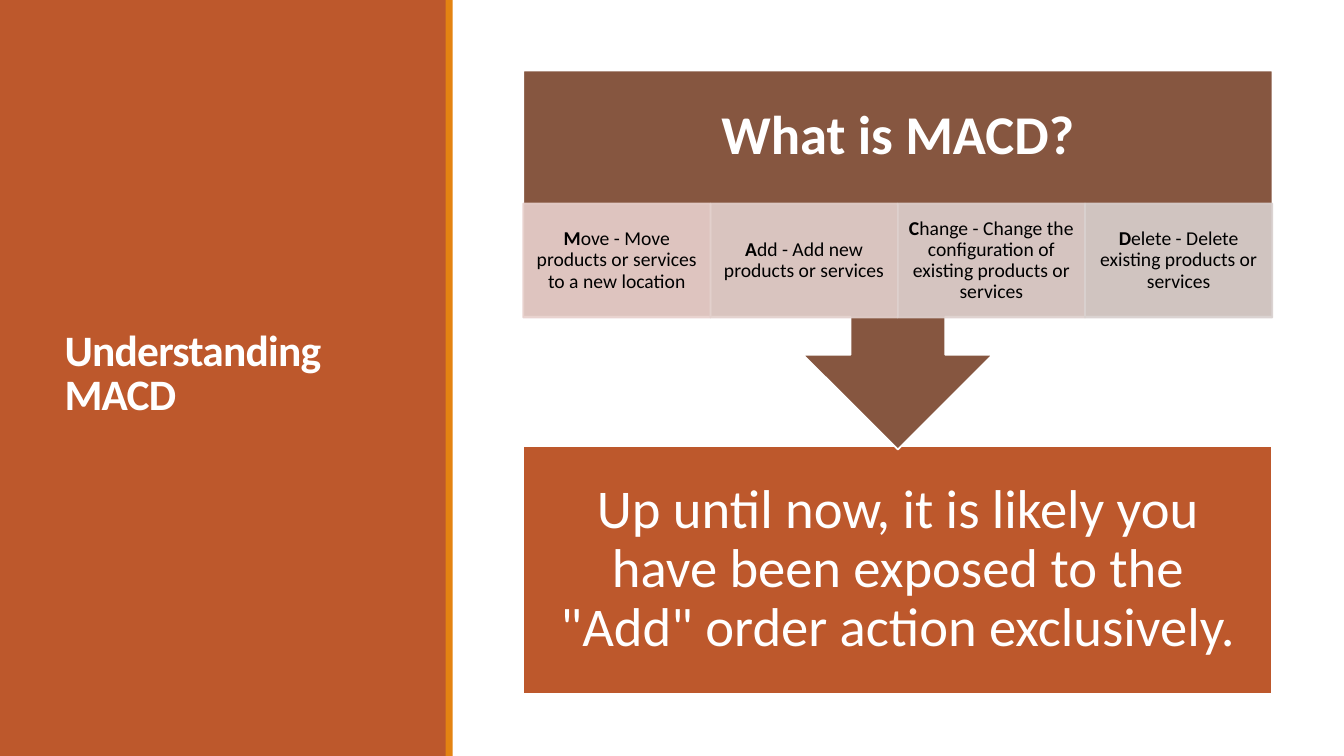
import pptx
import pptx.util
import pptx.dml.color
import pptx.enum.shapes
import pptx.enum.text
import pptx.oxml.ns
import pptx.oxml.xmlchemy

RGBColor = pptx.dml.color.RGBColor
MSO_SHAPE = pptx.enum.shapes.MSO_SHAPE
PP_ALIGN = pptx.enum.text.PP_ALIGN

RUST = RGBColor(0xBD, 0x58, 0x2C)
ORANGE = RGBColor(0xE4, 0x83, 0x12)
BROWN = RGBColor(0x86, 0x56, 0x40)
WHITE = RGBColor(0xFF, 0xFF, 0xFF)
BLACK = RGBColor(0x00, 0x00, 0x00)
MOVE_TINT = RGBColor(0xE8, 0xD1, 0xCD)
ADD_TINT = RGBColor(0xE3, 0xD1, 0xCD)
CHANGE_TINT = RGBColor(0xDE, 0xD1, 0xCE)
DELETE_TINT = RGBColor(0xD9, 0xD1, 0xCF)

ACTIONS = [
    ("M", "ove - Move products or services to a new location", MOVE_TINT),
    ("A", "dd - Add new products or services", ADD_TINT),
    ("C", "hange - Change the configuration of existing products or services", CHANGE_TINT),
    ("D", "elete - Delete existing products or services", DELETE_TINT),
]


class SlideBuilder:
    """Draws styled elements on one slide, placed on a grid of 100 columns by 100 rows."""

    font_name = "Calibri"
    line_width = pptx.util.Pt(1.25)

    def __init__(self, presentation):
        self.column = presentation.slide_width / 100
        self.row = presentation.slide_height / 100
        self.slide = presentation.slides.add_slide(presentation.slide_layouts[5])

    def place(self, left, top, width, height):
        return (round(left * self.column), round(top * self.row),
                round(width * self.column), round(height * self.row))

    def block(self, area, fill, line=None, opacity=None, kind=MSO_SHAPE.RECTANGLE):
        shape = self.slide.shapes.add_shape(kind, *self.place(*area))
        shape.shadow.inherit = False
        shape.fill.solid()
        shape.fill.fore_color.rgb = fill
        if line is None:
            shape.line.fill.background()
        else:
            shape.line.color.rgb = line
            shape.line.width = self.line_width
        if opacity is not None:
            for color in shape.element.spPr.iter(pptx.oxml.ns.qn("a:srgbClr")):
                alpha = pptx.oxml.xmlchemy.OxmlElement("a:alpha")
                alpha.set("val", str(opacity * 1000))
                color.append(alpha)
        return shape

    def add_text(self, shape, runs, size, color, insets=(0.1, 0.05),
                 alignment=PP_ALIGN.CENTER, line_spacing=0.9):
        frame = shape.text_frame
        frame.word_wrap = True
        frame.auto_size = pptx.enum.text.MSO_AUTO_SIZE.NONE
        frame.vertical_anchor = pptx.enum.text.MSO_ANCHOR.MIDDLE
        frame.margin_left = frame.margin_right = pptx.util.Inches(insets[0])
        frame.margin_top = frame.margin_bottom = pptx.util.Inches(insets[1])
        paragraph = frame.paragraphs[0]
        paragraph.alignment = alignment
        paragraph.line_spacing = line_spacing
        for text, bold in runs:
            run = paragraph.add_run()
            run.text = text
            run.font.name = self.font_name
            run.font.size = pptx.util.Pt(size)
            run.font.bold = bold
            run.font.color.rgb = color

    def label(self, area, runs, size, color, insets):
        shape = self.slide.shapes.add_textbox(*self.place(*area))
        self.add_text(shape, runs, size, color, insets)

    def title(self, area, text, size, color):
        shape = self.slide.shapes.title
        shape.left, shape.top, shape.width, shape.height = self.place(*area)
        self.add_text(shape, [(text, True)], size, color,
                      alignment=PP_ALIGN.LEFT, line_spacing=0.85)
        for properties in shape.element.iter(pptx.oxml.ns.qn("a:rPr")):
            properties.set("spc", "-50")
        self.slide.shapes.element.append(shape.element)


def main():
    presentation = pptx.Presentation()
    presentation.slide_width = pptx.util.Inches(13.33)
    presentation.slide_height = pptx.util.Inches(7.5)
    builder = SlideBuilder(presentation)

    builder.block((0, 0, 33.23, 100), RUST)
    builder.title((4.05, 7.6, 25.28, 84.13), "Understanding MACD", 31, WHITE)
    builder.block((33.16, 0, 0.53, 100), ORANGE)

    left, width = 38.93, 55.74
    conclusion = builder.block((left, 59.07, width, 32.67), RUST, WHITE)
    builder.add_text(conclusion, [("Up until now, it is likely you have been exposed to the "
                                   '"Add" order action exclusively.', False)],
                     39, WHITE, (0.3, 0.3))

    callout = builder.block((left, 9.33, width, 50.13), BROWN, WHITE,
                            kind=MSO_SHAPE.UP_ARROW_CALLOUT)
    callout.rotation = 180
    builder.label((left, 9.33, width, 17.6), [("What is MACD?", True)], 39, WHITE, (0.3, 0.3))

    cell_width = width / len(ACTIONS)
    for index, (initial, rest, tint) in enumerate(ACTIONS):
        cell = builder.block((left + index * cell_width, 26.93, cell_width, 15.07),
                             tint, tint, opacity=90)
        builder.add_text(cell, [(initial, True), (rest, False)], 14, BLACK, (0.11, 0.02))

    presentation.save("out.pptx")


if __name__ == "__main__":
    main()
